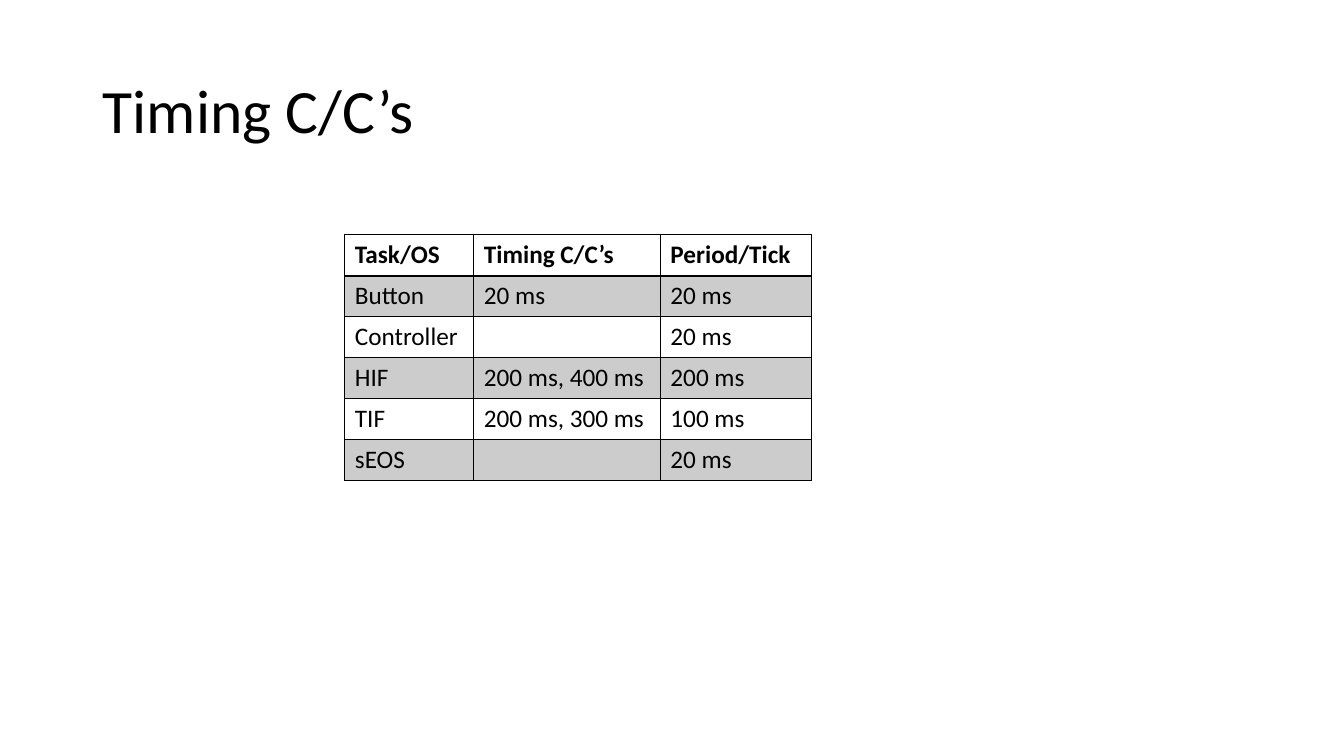
from lxml.etree import SubElement
from pptx import Presentation
from pptx.dml.color import RGBColor
from pptx.enum.text import MSO_ANCHOR, MSO_AUTO_SIZE, PP_ALIGN
from pptx.oxml.ns import qn
from pptx.util import Inches, Pt

TITLE = "Timing C/C’s"
ROWS = [
    ("Task/OS", "Timing C/C’s", "Period/Tick"),
    ("Button", "20 ms", "20 ms"),
    ("Controller", "", "20 ms"),
    ("HIF", "200 ms, 400 ms", "200 ms"),
    ("TIF", "200 ms, 300 ms", "100 ms"),
    ("sEOS", "", "20 ms"),
]
SLIDE_SIZE = (13.33, 7.5)
TITLE_BOX = (0.92, 0.4, 11.5, 1.45)
TABLE_CORNER = (3.42, 2.33)
COLUMN_WIDTHS = (1.28, 1.85, 1.5)
ROW_HEIGHT = 0.405
INK = "000000"
BAND_OPACITY = 20
TITLE_FORMAT = {"name": "Calibri", "size": Pt(44), "bold": False}
HEADER_FORMAT = {"name": "Calibri", "size": Pt(18), "bold": True}
BODY_FORMAT = {**HEADER_FORMAT, "bold": False}


def color(value):
    return RGBColor.from_string(value)


def format_font(font, values):
    for name, value in values.items():
        setattr(font, name, value)
    font.color.rgb = color(INK)


def add_border(cell, side, points):
    line = SubElement(cell._tc.get_or_add_tcPr(), qn(f"a:ln{side}"), w=str(Pt(points)))
    fill = SubElement(line, qn("a:solidFill"))
    SubElement(fill, qn("a:srgbClr"), val=INK)


def fill_cell(cell, banded):
    if not banded:
        cell.fill.background()
        return
    cell.fill.solid()
    cell.fill.fore_color.rgb = color(INK)
    shade = cell._tc.tcPr.find(f"{qn('a:solidFill')}/{qn('a:srgbClr')}")
    SubElement(shade, qn("a:alpha"), val=str(BAND_OPACITY * 1000))


def add_title(page):
    title = page.shapes.title
    title.left, title.top, title.width, title.height = map(Inches, TITLE_BOX)
    frame = title.text_frame
    frame.text = TITLE
    frame.word_wrap = True
    frame.auto_size = MSO_AUTO_SIZE.NONE
    frame.vertical_anchor = MSO_ANCHOR.MIDDLE
    para = frame.paragraphs[0]
    para.alignment = PP_ALIGN.LEFT
    para.line_spacing = 0.9
    format_font(para.runs[0].font, TITLE_FORMAT)


def add_timing_table(page):
    size = (sum(COLUMN_WIDTHS), ROW_HEIGHT * len(ROWS))
    box = map(Inches, TABLE_CORNER + size)
    table = page.shapes.add_table(len(ROWS), len(COLUMN_WIDTHS), *box).table
    for column, width in zip(table.columns, COLUMN_WIDTHS):
        column.width = Inches(width)
    for row_index, words in enumerate(ROWS):
        table.rows[row_index].height = Inches(ROW_HEIGHT)
        for column_index, text in enumerate(words):
            cell = table.cell(row_index, column_index)
            cell.text = text
            values = BODY_FORMAT if row_index else HEADER_FORMAT
            format_font(cell.text_frame.paragraphs[0].font, values)
            weights = {"L": 1, "R": 1, "T": 2 if row_index == 1 else 1, "B": 1 if row_index else 2}
            for side, points in weights.items():
                add_border(cell, side, points)
            fill_cell(cell, row_index % 2 == 1)


def main():
    """Build the slide of task timing constraints and periods."""
    deck = Presentation()
    deck.slide_width, deck.slide_height = map(Inches, SLIDE_SIZE)
    page = deck.slides.add_slide(deck.slide_layouts[5])
    add_title(page)
    add_timing_table(page)
    deck.save("out.pptx")


if __name__ == "__main__":
    main()
